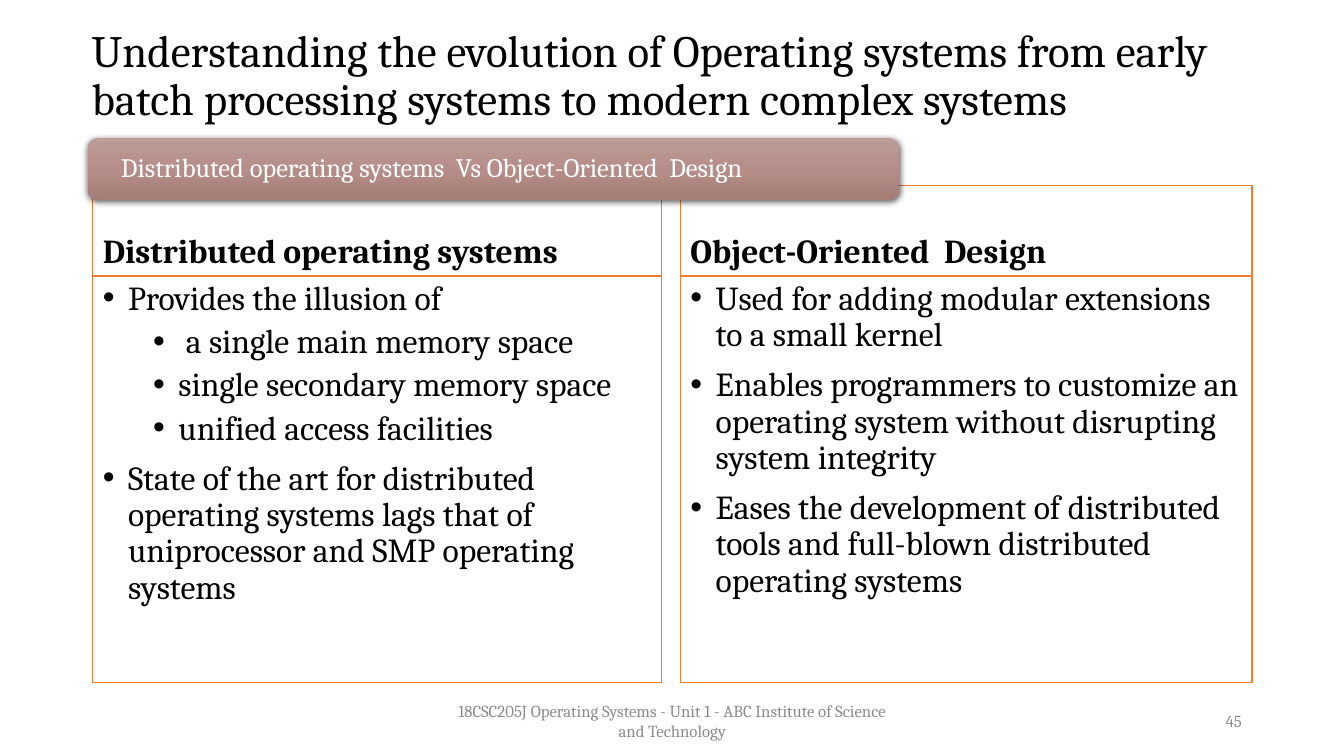
import copy
from dataclasses import dataclass

import lxml.etree
import pptx
import pptx.dml.color
import pptx.enum.shapes
import pptx.enum.text
import pptx.oxml
import pptx.oxml.ns
import pptx.util

Pt = pptx.util.Pt
ANCHOR = pptx.enum.text.MSO_ANCHOR
ALIGN = pptx.enum.text.PP_ALIGN
FONT = "Cambria"
COLORS = {
    "text": "000000", "paper": "FFFFFF", "border": "ED7D31", "footer": "8C8C8C",
    "banner_top": "BC9D98", "banner_middle": "B68E89", "banner_bottom": "A47D77",
}


@dataclass
class Item:
    text: str
    level: int = 0


@dataclass
class Column:
    left: float
    width: float
    heading_idx: int
    list_idx: int
    heading: str
    items: list[Item]


@dataclass
class Label:
    text: str
    left: float
    width: float
    align: ALIGN


COLUMNS = [
    Column(66.24, 406.08, 1, 2, "Distributed operating systems", [
        Item("Provides the illusion of"),
        Item(" a single main memory space", 1),
        Item("single secondary memory space", 1),
        Item("unified access facilities", 1),
        Item("State of the art for distributed operating systems lags that of "
             "uniprocessor and SMP operating systems"),
    ]),
    Column(486, 408.24, 3, 4, "Object-Oriented  Design", [
        Item("Used for adding modular extensions to a small kernel"),
        Item("Enables programmers to customize an operating system without "
             "disrupting system integrity"),
        Item("Eases the development of distributed tools and full-blown "
             "distributed operating systems"),
    ]),
]
LABELS = [
    Label("18CSC205J Operating Systems - Unit 1 - ABC Institute of Science and Technology",
          318.24, 324, ALIGN.CENTER),
    Label("45", 678.24, 216, ALIGN.RIGHT),
]


def rgb(name: str) -> pptx.dml.color.RGBColor:
    return pptx.dml.color.RGBColor.from_string(COLORS[name])


def apply(target, values: dict) -> None:
    for name, value in values.items():
        setattr(target, name, value)


def place(sp, left: float, top: float, width: float, height: float) -> None:
    apply(sp, {"left": Pt(left), "top": Pt(top), "width": Pt(width), "height": Pt(height)})


def set_frame(tf, anchor: ANCHOR, side: float = 7.2, edge: float = 3.6) -> None:
    apply(tf, {
        "word_wrap": True, "auto_size": pptx.enum.text.MSO_AUTO_SIZE.NONE,
        "vertical_anchor": anchor, "margin_left": Pt(side), "margin_right": Pt(side),
        "margin_top": Pt(edge), "margin_bottom": Pt(edge),
    })


def write(p, text: str, size: float, color: str = "text", bold: bool = False,
          align: ALIGN = ALIGN.LEFT, spacing: float = 0.9, before: float = 0) -> None:
    apply(p, {"alignment": align, "line_spacing": spacing,
              "space_before": Pt(before), "space_after": Pt(0)})
    r = p.add_run()
    r.text = text
    apply(r.font, {"name": FONT, "size": Pt(size), "bold": bold})
    r.font.color.rgb = rgb(color)


def add_bullet(p, level: int) -> None:
    p.level = level
    pPr = p._p.get_or_add_pPr()
    pPr.set("marL", str(Pt(18 + 36 * level)))
    pPr.set("indent", str(Pt(-18)))
    for tag, key, value in (("a:buFont", "typeface", "Arial"), ("a:buChar", "char", "•")):
        lxml.etree.SubElement(pPr, pptx.oxml.ns.qn(tag)).set(key, value)


def draw_panel(sp, left: float, top: float, width: float, height: float, anchor: ANCHOR):
    place(sp, left, top, width, height)
    sp.fill.solid()
    sp.fill.fore_color.rgb = rgb("paper")
    sp.line.color.rgb = rgb("border")
    sp.line.width = Pt(1)
    set_frame(sp.text_frame, anchor)
    return sp.text_frame


def draw_column(s, column: Column) -> None:
    holders = {sp.placeholder_format.idx: sp for sp in s.placeholders}
    tf = draw_panel(holders[column.heading_idx], column.left, 132.48, column.width, 64.8,
                    ANCHOR.BOTTOM)
    write(tf.paragraphs[0], column.heading, 24, bold=True, before=10)
    tf = draw_panel(holders[column.list_idx], column.left, 197.28, column.width, 290.16,
                    ANCHOR.TOP)
    for i, item in enumerate(column.items):
        p = tf.add_paragraph() if i else tf.paragraphs[0]
        write(p, item.text, 24, before=5 if item.level else 10)
        add_bullet(p, item.level)


def add_banner_shadow(sp) -> None:
    """Replace the theme effect with a soft shadow below the banner."""
    sp.shadow.inherit = False
    effects = sp._element.spPr.find(pptx.oxml.ns.qn("a:effectLst"))
    effects.append(pptx.oxml.parse_xml(
        f'<a:outerShdw {pptx.oxml.ns.nsdecls("a")} blurRad="{Pt(4.5)}" dist="{Pt(1.5)}" '
        f'dir="5400000" algn="ctr" rotWithShape="0"><a:srgbClr val="{COLORS["text"]}">'
        '<a:alpha val="63000"/></a:srgbClr></a:outerShdw>'))


def draw_banner(s, text: str) -> None:
    group = s.shapes.add_group_shape()
    sp = group.shapes.add_shape(pptx.enum.shapes.MSO_SHAPE.ROUNDED_RECTANGLE,
                                Pt(62.64), Pt(98.64), Pt(579.6), Pt(43.92))
    sp.line.fill.background()
    sp.fill.gradient()
    sp.fill.gradient_angle = 270
    stops = sp._element.spPr.find(".//" + pptx.oxml.ns.qn("a:gsLst"))
    stops.insert(1, copy.deepcopy(stops[0]))
    names = ("banner_top", "banner_middle", "banner_bottom")
    for stop, name, position in zip(sp.fill.gradient_stops, names, (0, 0.5, 1)):
        stop.color.rgb = rgb(name)
        stop.position = position
    add_banner_shadow(sp)
    box = group.shapes.add_textbox(Pt(64.8), Pt(100.8), Pt(575.28), Pt(39.6))
    set_frame(box.text_frame, ANCHOR.MIDDLE, 21.6, 0)
    write(box.text_frame.paragraphs[0], text, 19, "paper")


def draw_label(s, label: Label) -> None:
    box = s.shapes.add_textbox(Pt(label.left), Pt(500.4), Pt(label.width), Pt(28.8))
    set_frame(box.text_frame, ANCHOR.MIDDLE)
    write(box.text_frame.paragraphs[0], label.text, 12, "footer", align=label.align, spacing=1.0)


def main() -> None:
    prs = pptx.Presentation()
    apply(prs, {"slide_width": Pt(960), "slide_height": Pt(540)})
    s = prs.slides.add_slide(prs.slide_layouts.get_by_name("Comparison"))
    title = s.shapes.title
    place(title, 58.32, 19.44, 828, 104.4)
    set_frame(title.text_frame, ANCHOR.TOP, edge=1)
    write(title.text_frame.paragraphs[0],
          "Understanding the evolution of Operating systems from early batch "
          "processing systems to modern complex systems", 32)
    for column in COLUMNS:
        draw_column(s, column)
    for label in LABELS:
        draw_label(s, label)
    draw_banner(s, "Distributed operating systems  Vs Object-Oriented  Design")
    prs.save("out.pptx")


if __name__ == "__main__":
    main()
